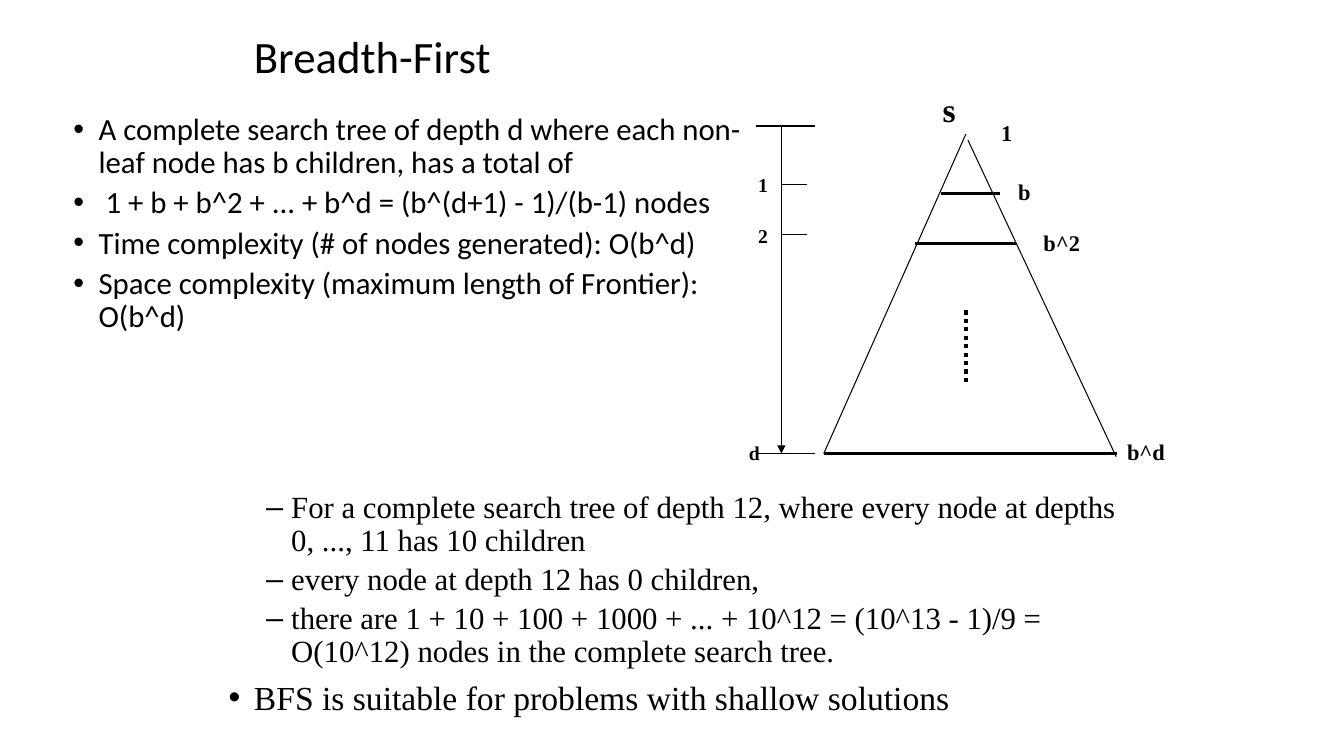
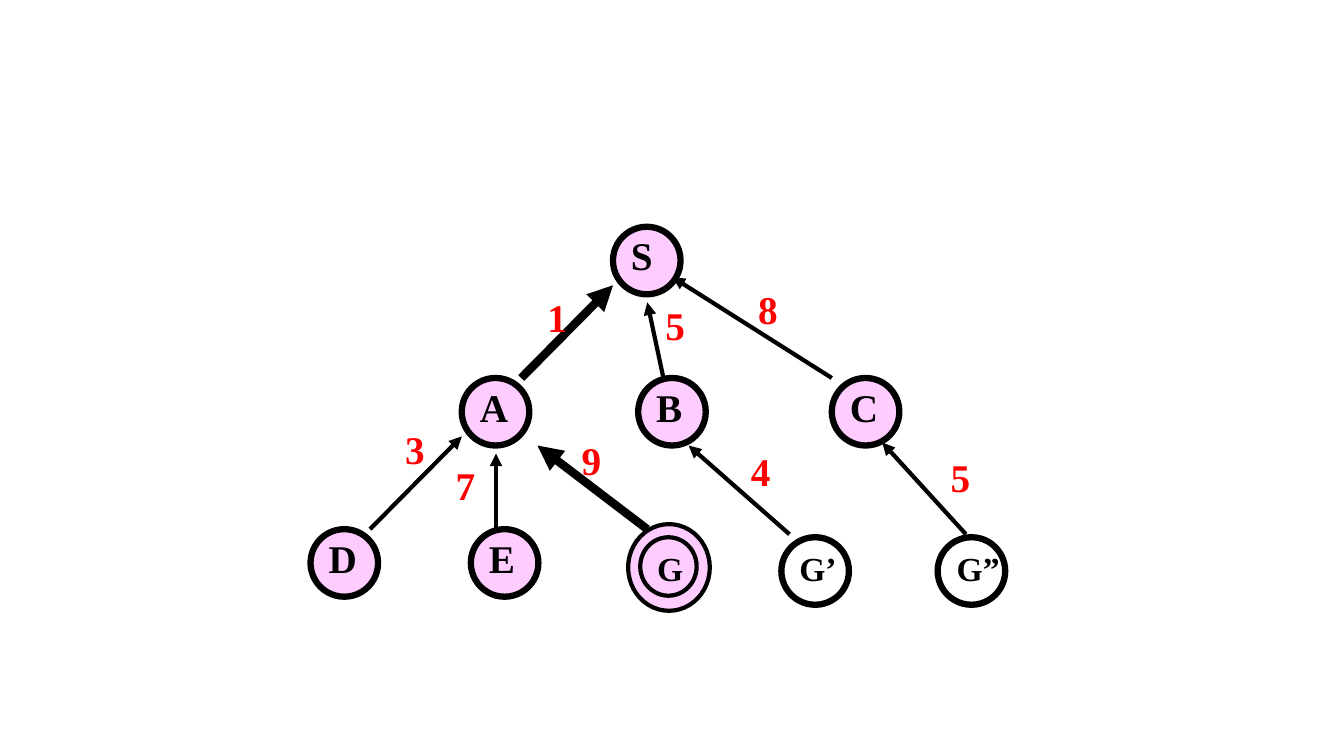
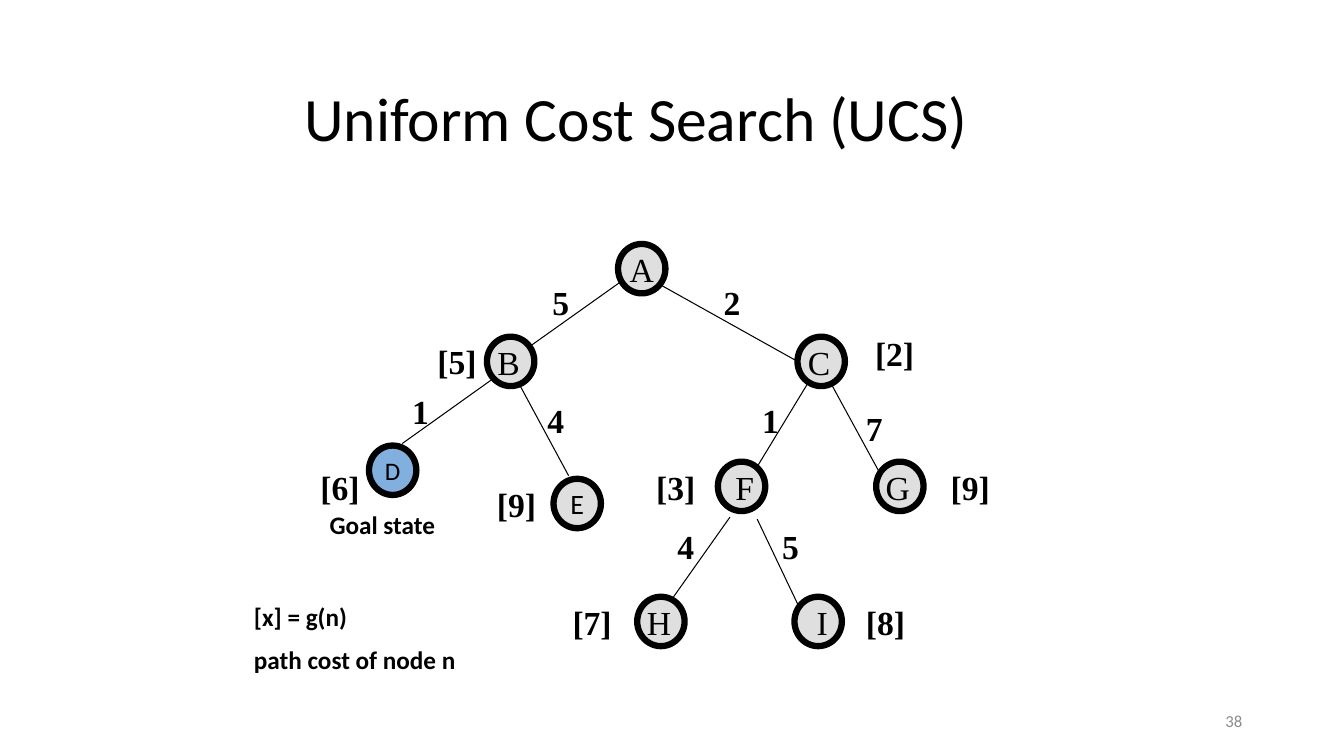
import pptx
import pptx.chart.data
import pptx.dml.color
import pptx.enum.shapes
import pptx.enum.text
import pptx.oxml
import pptx.oxml.ns
import pptx.util
from pptx.util import Inches

COLORS = {
    "black": "000000",
    "cost": "FF0000",
    "visited": "FFCCFF",
    "node": "C0C0C0",
    "goal": "0563C1",
    "number": "8C8C8C",
}
SANS = "Calibri"
SERIF = "Times New Roman"
ALIGN = pptx.enum.text.PP_ALIGN
MIDDLE = pptx.enum.text.MSO_ANCHOR.MIDDLE
OVAL = pptx.enum.shapes.MSO_SHAPE.OVAL
STRAIGHT = pptx.enum.shapes.MSO_CONNECTOR.STRAIGHT

BODY = {"size": 22, "indent": 0.75, "bullet": "•", "before": 5, "spacing": 0.9}
DASH = {"size": 22, "name": SERIF, "indent": 0.62, "bullet": "–", "before": 4, "spacing": 0.9}
DOT = {"size": 24, "name": SERIF, "indent": 0.25, "bullet": "•", "before": 8.5, "spacing": 0.9}
NOTE = {"size": 18, "bold": True, "before": 9}

COMPLEXITY = [
    "A complete search tree of depth d where each non-leaf node has b children, has a total of",
    " 1 + b + b^2 + ... + b^d = (b^(d+1) - 1)/(b-1) nodes",
    "Time complexity (# of nodes generated): O(b^d)",
    "Space complexity (maximum length of Frontier): O(b^d)",
]
EXAMPLE = [
    "For a complete search tree of depth 12, where every node at depths 0, ..., 11 has 10 children",
    "every node at depth 12 has 0 children,",
    "there are 1 + 10 + 100 + 1000 + ... + 10^12 = (10^13 - 1)/9 = O(10^12) nodes in the complete search tree.",
]
CONCLUSION = "BFS is suitable for problems with shallow solutions"

TRIANGLE_SIDES = [((9.58, 1.33), (8.17, 4.5)), ((9.6, 1.39), (11.07, 4.53))]
TRIANGLE_LEVELS = [(8.17, 11.08, 4.5), (9.33, 9.92, 1.92), (9.08, 10.08, 2.42)]
DEPTH_TICKS = [(7.5, 8.08, 1.25), (7.75, 8, 1.83), (7.75, 8, 2.33), (7.5, 8.08, 4.5)]
TRIANGLE_LABELS = [
    ("s", 9.25, 0.83, 0.42, 24),
    ("1", 9.83, 1.13, 0.31, 16),
    ("b", 10, 1.72, 0.32, 16),
    ("b^2", 10.25, 2.22, 0.58, 16),
    ("b^d", 11.08, 4.3, 0.58, 16),
    ("1", 7.42, 1.67, 0.33, 14),
    ("2", 7.42, 2.17, 0.33, 14),
    ("d", 7.33, 4.33, 0.33, 14),
]

PATH_NODES = [
    ("S", 6.08, 2.25, 0.42),
    ("A", 4.58, 3.75, 0.48),
    ("B", 6.33, 3.75, 0.46),
    ("C", 8.25, 3.75, 0.48),
    ("D", 3.08, 5.25, 0.48),
    ("E", 4.67, 5.25, 0.46),
]
GOAL_NODES = [
    ("G", 6.35, 0.56, 0.58, 3, 6.42, 0.46),
    ("G’", 7.75, 0.67, 0.67, 4.5, 7.83, 0.57),
    ("G”", 9.3, 0.67, 0.67, 4.5, 9.39, 0.63),
]
PATH_ARROWS = [
    ((5.17, 3.75), (6.08, 2.83), 6),
    ((6.58, 3.75), (6.42, 3), 3),
    ((8.25, 3.75), (6.67, 2.75), 3),
    ((3.67, 5.25), (4.58, 4.33), 3),
    ((4.92, 5.25), (4.92, 4.5), 3),
    ((6.42, 5.25), (5.33, 4.42), 6),
    ((7.83, 5.3), (6.83, 4.42), 3),
    ((9.58, 5.3), (8.75, 4.39), 3),
]
PATH_COSTS = [
    ("1", 5.33, 2.86), ("5", 6.5, 2.94), ("8", 7.42, 2.78), ("3", 3.92, 4.17),
    ("7", 4.42, 4.53), ("9", 5.67, 4.28), ("4", 7.35, 4.39), ("5", 9.33, 4.45),
]

UCS_NODES = [
    ("A", 6.13, 2.42, 6.14, 0.45),
    ("B", 4.83, 3.34, 4.83, 0.43),
    ("C", 7.91, 3.34, 7.91, 0.43),
    ("F", 7.12, 4.58, 7.19, 0.39),
    ("G", 8.69, 4.58, 8.68, 0.45),
    ("H", 6.32, 5.92, 6.31, 0.45),
    ("I", 7.88, 5.92, 8, 0.31),
]
UCS_INLINE_NODES = [("D", 3.66, 4.42, "goal", 18), ("E", 5.49, 4.75, "node", 20)]
UCS_EDGES = [
    ((6.15, 2.8), (5.25, 3.44)), ((6.54, 2.82), (7.9, 3.58)),
    ((4.9, 3.75), (3.99, 4.4)), ((5.16, 3.83), (5.64, 4.72)),
    ((8.02, 3.79), (7.51, 4.63)), ((8.25, 3.82), (8.73, 4.7)),
    ((7.24, 5.13), (6.66, 5.95)), ((7.51, 5.15), (7.92, 6.01)),
]
STEP_COSTS = [
    ("5", 5.38, 2.75), ("2", 7.08, 2.75), ("1", 3.99, 3.83), ("4", 5.33, 3.92),
    ("1", 7.46, 3.92), ("7", 8.49, 4), ("4", 6.62, 5.17), ("5", 7.66, 5.17),
]
TOTAL_COSTS = [
    ("[5]", 4.24, 3.33), ("[2]", 8.58, 3.25), ("[6]", 3.08, 4.58), ("[9]", 4.83, 4.75),
    ("[3]", 6.41, 4.58), ("[9]", 9.33, 4.58), ("[7]", 5.58, 5.92), ("[8]", 8.49, 5.92),
]


def rgb(color):
    return pptx.dml.color.RGBColor.from_string(COLORS[color])


def set_attributes(target, values):
    for name, value in values.items():
        setattr(target, name, value)


def add_element(parent, tag, **attributes):
    element = pptx.oxml.ns.qn(tag)
    child = parent.makeelement(element, attributes)
    parent.append(child)
    return child


def format_paragraph(paragraph, text, style, first):
    properties = paragraph._p.get_or_add_pPr()
    paragraph.alignment = style.get("align", ALIGN.LEFT)
    paragraph.line_spacing = style.get("spacing", 1.0)
    paragraph.space_before = pptx.util.Pt(0 if first else style.get("before", 0))
    if "bullet" in style:
        properties.set("marL", str(Inches(style["indent"])))
        properties.set("indent", str(-Inches(0.25)))
        add_element(properties, "a:buFont", typeface="Arial")
        add_element(properties, "a:buChar", char=style["bullet"])
    run = paragraph.add_run()
    run.text = text
    set_attributes(run.font, {
        "size": pptx.util.Pt(style["size"]),
        "name": style.get("name", SANS),
        "bold": style.get("bold", False),
    })
    run.font.color.rgb = rgb(style.get("color", "black"))


def fill_frame(frame, content, wrap=True, anchor=pptx.enum.text.MSO_ANCHOR.TOP):
    set_attributes(frame, {"word_wrap": wrap, "vertical_anchor": anchor})
    for index, (text, style) in enumerate(content):
        paragraph = frame.add_paragraph() if index else frame.paragraphs[0]
        format_paragraph(paragraph, text, style, index == 0)


def add_text(slide, box, content, **frame_format):
    shape = slide.shapes.add_textbox(*map(Inches, box))
    fill_frame(shape.text_frame, content, **frame_format)


def add_label(slide, text, left, top, width, height, size, wrap=False, **style):
    style = {"size": size, "name": SERIF, "bold": True, **style}
    add_text(slide, (left, top, width, height), [(text, style)], wrap=wrap)


def add_title(slide, text, box, size):
    add_text(slide, box, [(text, {"size": size, "spacing": 0.9})], anchor=MIDDLE)


def add_line(slide, start, end, width=0.75, arrow=False, dash=None):
    line = slide.shapes.add_connector(STRAIGHT, *map(Inches, (*start, *end)))
    set_attributes(line.line, {"width": pptx.util.Pt(width), "dash_style": dash})
    line.line.color.rgb = rgb("black")
    if arrow:
        add_element(line.line._get_or_add_ln(), "a:tailEnd", type="triangle")
    add_element(line._element.spPr, "a:effectLst")


def add_oval(slide, box, line_width, fill=None, alpha=None):
    oval = slide.shapes.add_shape(OVAL, *map(Inches, box))
    oval.shadow.inherit = False
    oval.line.width = pptx.util.Pt(line_width)
    oval.line.color.rgb = rgb("black")
    if fill is None:
        oval.fill.background()
        return oval
    oval.fill.solid()
    oval.fill.fore_color.rgb = rgb(fill)
    if alpha:
        color = oval._element.spPr.find(".//" + pptx.oxml.ns.qn("a:srgbClr"))
        add_element(color, "a:alpha", val=str(alpha * 1000))
    return oval


def build_breadth_first(slide):
    add_title(slide, "Breadth-First", (2.42, 0.25, 8.5, 0.67), 32)
    add_text(slide, (0.13, 1.08, 7.62, 3.67), [(text, BODY) for text in COMPLEXITY])
    for start, end in TRIANGLE_SIDES:
        add_line(slide, start, end)
    for levels, width in ((TRIANGLE_LEVELS, 2.25), (DEPTH_TICKS, 0.75)):
        for left, right, top in levels:
            add_line(slide, (left, top), (right, top), width)
    add_line(slide, (7.75, 1.25), (7.75, 4.5), arrow=True)
    add_line(slide, (9.58, 3.08), (9.58, 3.83), 3, dash=pptx.enum.dml.MSO_LINE.ROUND_DOT)
    for text, left, top, width, size in TRIANGLE_LABELS:
        add_label(slide, text, left, top, width, 0.37, size, wrap=True)
    content = [(text, DASH) for text in EXAMPLE] + [(CONCLUSION, DOT)]
    add_text(slide, (2.17, 4.83, 9.08, 2.33), content)


def build_shortest_path(slide):
    add_oval(slide, (6.23, 5.2, 0.81, 0.86), 3, "visited")
    for name, left, top, width in PATH_NODES:
        add_oval(slide, (left, top, 0.67, 0.67), 4.5, "visited")
        add_label(slide, name, left + 0.08, top, width, 0.57, 28)
    for child, parent, width in PATH_ARROWS:
        add_line(slide, child, parent, width, arrow=True)
    for cost, left, top in PATH_COSTS:
        add_label(slide, cost, left, top, 0.4, 0.57, 28, color="cost")
    for name, left, width, height, line_width, label_left, label_width in GOAL_NODES:
        add_oval(slide, (left, 5.33, width, height), line_width)
        add_label(slide, name, label_left, 5.39, label_width, 0.5, 24)


def build_uniform_cost(slide):
    add_title(slide, "Uniform Cost Search (UCS)", (2.92, 0.58, 8.25, 1.25), 44)
    number = {"size": 12, "color": "number", "align": ALIGN.RIGHT}
    add_text(slide, (9.42, 6.95, 3, 0.4), [("38", number)], anchor=MIDDLE)
    for name, left, top, label_left, label_width in UCS_NODES:
        add_oval(slide, (left, top, 0.47, 0.49), 4.5, "node", 50)
        add_label(slide, name, label_left, top, label_width, 0.5, 24, bold=False, align=ALIGN.CENTER)
    for name, left, top, fill, size in UCS_INLINE_NODES:
        oval = add_oval(slide, (left, top, 0.47, 0.49), 4.5, fill, 50)
        style = {"size": size, "align": ALIGN.CENTER}
        fill_frame(oval.text_frame, [(name, style)], wrap=False, anchor=MIDDLE)
    for start, end in UCS_EDGES:
        add_line(slide, start, end)
    for costs, width in ((STEP_COSTS, 0.37), (TOTAL_COSTS, 0.59)):
        for cost, left, top in costs:
            add_label(slide, cost, left, top, width, 0.5, 24)
    add_text(slide, (2.42, 5.92, 2.75, 0.85), [("[x] = g(n)", NOTE), ("path cost of node n", NOTE)])
    add_text(slide, (3.17, 5, 1.58, 0.4), [("Goal state", NOTE)])


def main():
    presentation = pptx.Presentation()
    set_attributes(presentation, {"slide_width": Inches(13.33), "slide_height": Inches(7.5)})
    for build in (build_breadth_first, build_shortest_path, build_uniform_cost):
        build(presentation.slides.add_slide(presentation.slide_layouts[6]))
    presentation.save("out.pptx")


if __name__ == "__main__":
    main()
